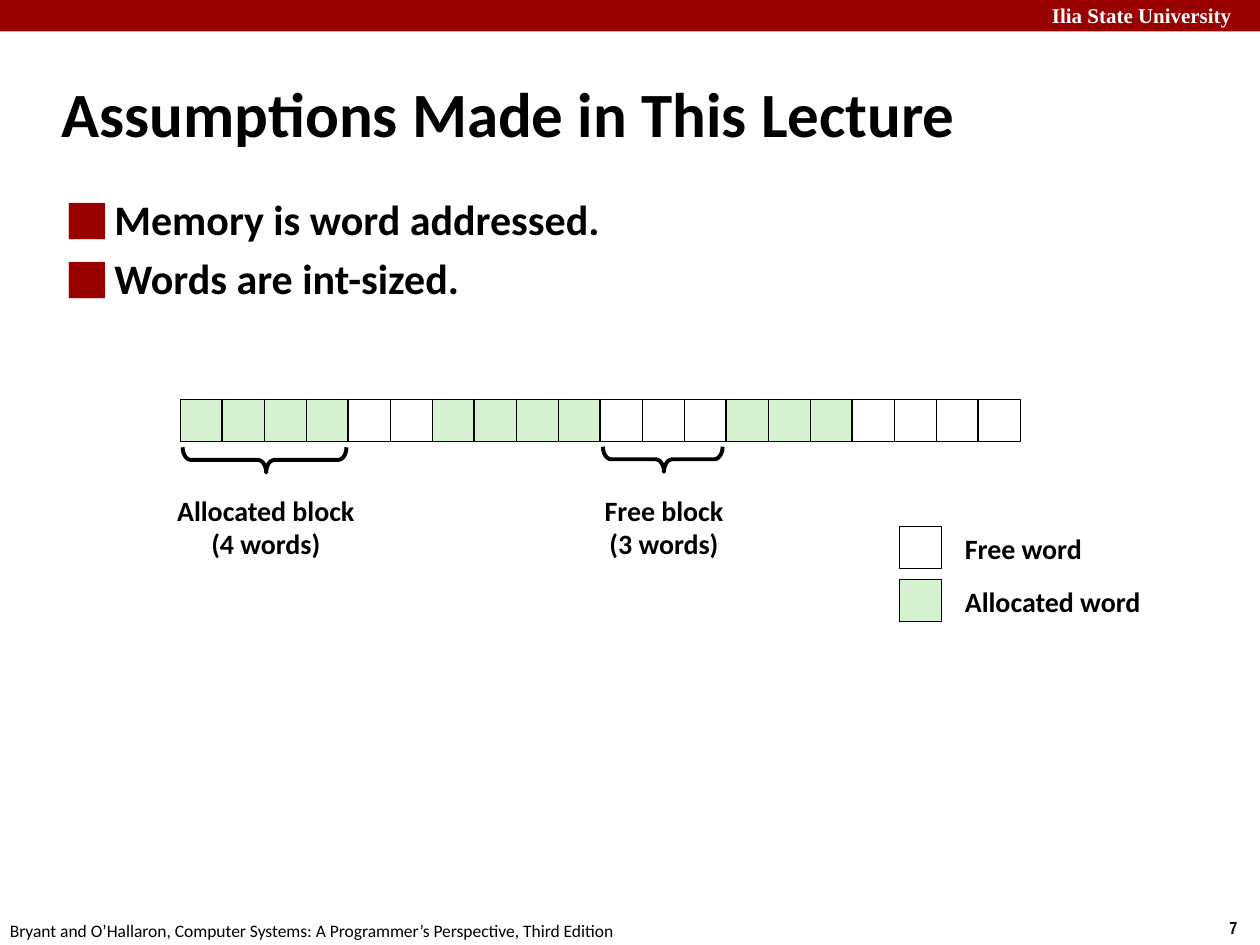
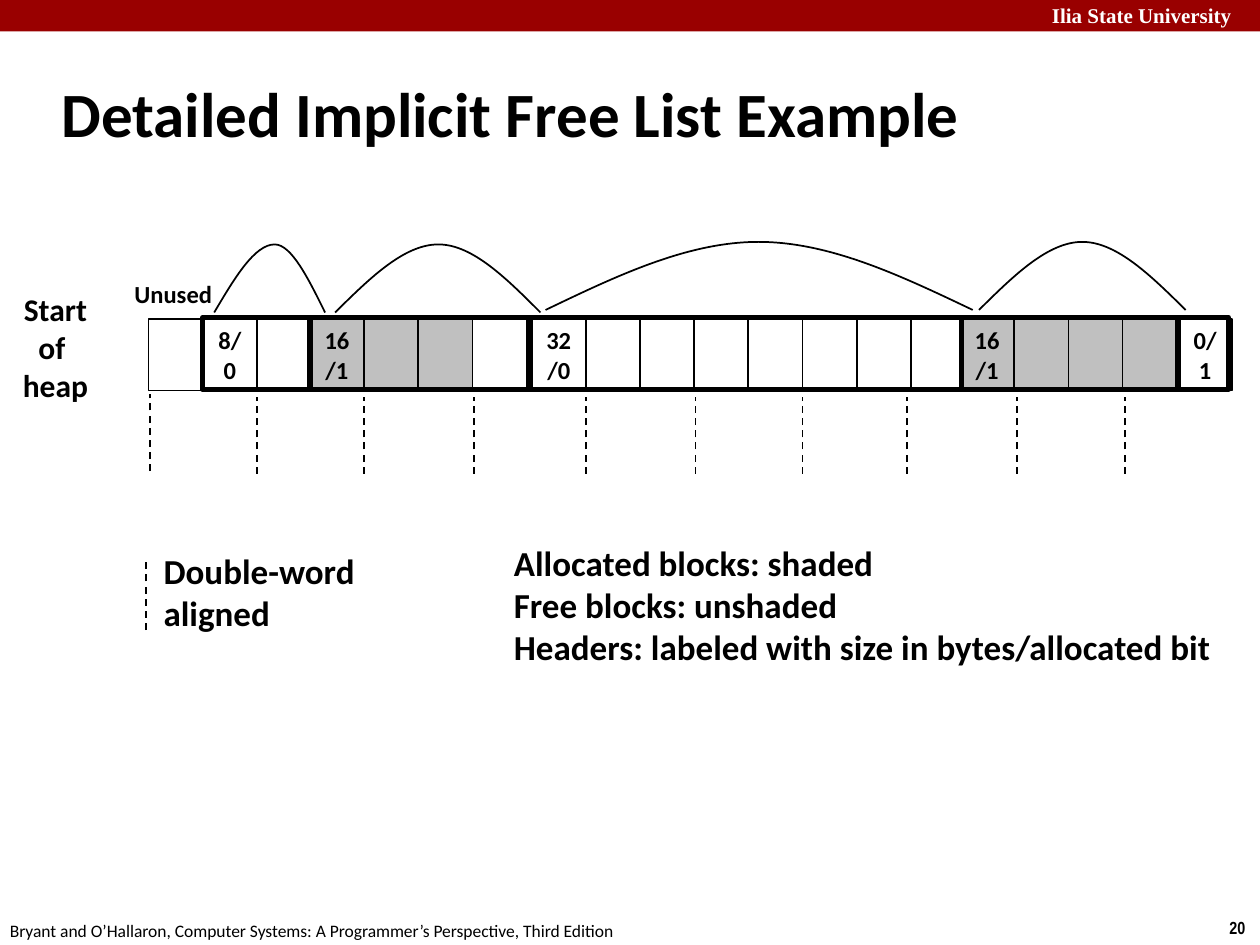
"""Build two lecture slides on memory blocks and the implicit free list."""
import lxml.etree
import pptx
import pptx.dml.color
import pptx.enum.dml
import pptx.enum.shapes
import pptx.enum.text
import pptx.oxml.ns
import pptx.util

Inches = pptx.util.Inches
Shapes = pptx.enum.shapes.MSO_SHAPE
Align = pptx.enum.text.PP_ALIGN
Anchor = pptx.enum.text.MSO_ANCHOR
qn = pptx.oxml.ns.qn

COLORS = {
    name: pptx.dml.color.RGBColor.from_string(value)
    for name, value in {
        "band": "990000",
        "black": "000000",
        "white": "FFFFFF",
        "allocated": "D5F1CF",
        "shaded": "C0C0C0",
    }.items()
}


def add_text(holder, lines, size, align=Align.LEFT, anchor=Anchor.TOP, color="black",
             name="Calibri", bold=True, line_spacing=None, space_before=0, bullet=None):
    """Fill a shape, or a new text box at (slide, left, top, width, height)."""
    if isinstance(holder, tuple):
        slide, *place = holder
        holder = slide.shapes.add_textbox(*map(Inches, place))
    frame = holder.text_frame
    frame.word_wrap = True
    frame.vertical_anchor = anchor
    for index, line in enumerate(lines):
        paragraph = frame.paragraphs[0] if index == 0 else frame.add_paragraph()
        paragraph.text = line
        paragraph.alignment = align
        paragraph.line_spacing = line_spacing
        if index and space_before:
            paragraph.space_before = pptx.util.Pt(space_before)
        if bullet:
            properties = paragraph._p.get_or_add_pPr()
            properties.set("marL", str(Inches(0.38)))
            properties.set("indent", str(Inches(-0.38)))
            bullet_color = lxml.etree.SubElement(properties, qn("a:buClr"))
            lxml.etree.SubElement(bullet_color, qn("a:srgbClr"), val=str(COLORS["band"]))
            lxml.etree.SubElement(properties, qn("a:buFont"), typeface=name)
            lxml.etree.SubElement(properties, qn("a:buChar"), char=bullet)
        font = paragraph.runs[0].font
        for attribute, value in {"size": pptx.util.Pt(size), "name": name, "bold": bold}.items():
            setattr(font, attribute, value)
        font.color.rgb = COLORS[color]


def add_box(slide, left, top, width, height, fill=None, line=None, kind=Shapes.RECTANGLE):
    """Add a preset shape with an optional fill and black outline."""
    shape = slide.shapes.add_shape(kind, *map(Inches, (left, top, width, height)))
    shape.shadow.inherit = False
    if fill:
        shape.fill.solid()
        shape.fill.fore_color.rgb = COLORS[fill]
    else:
        shape.fill.background()
    if line:
        shape.line.color.rgb = COLORS["black"]
        shape.line.width = pptx.util.Pt(line)
    else:
        shape.line.fill.background()
    return shape


presentation = pptx.Presentation()
presentation.slide_width = Inches(10)
presentation.slide_height = Inches(7.5)

slides = []
for title, number in [("Assumptions Made in This Lecture", "7"),
                      ("Detailed Implicit Free List Example", "20")]:
    slide = presentation.slides.add_slide(presentation.slide_layouts[6])
    add_box(slide, 0, 0, 10, 0.25, "band")
    add_text((slide, 8.25, -0.03, 1.82, 0.3), ["Ilia State University"], 12,
             color="white", name="Times New Roman")
    add_text((slide, 9.66, 7.23, 0.34, 0.27), [number], 10, name="Arial Narrow")
    add_text((slide, -0.02, 7.25, 5.08, 0.27),
             ["Bryant and O’Hallaron, Computer Systems: A Programmer’s Perspective, Third Edition"],
             10, bold=False)
    add_text((slide, 0.39, 0.48, 8.3, 0.83), [title], 36, anchor=Anchor.MIDDLE)
    slides.append(slide)
assumptions, free_list = slides

add_text((assumptions, 0.43, 1.49, 8.64, 5.44),
         ["Memory is word addressed.", "Words are int-sized."], 24, space_before=4.8, bullet="⬛")

word_left = 1.43
word_size = 1 / 3
for fill, count in [("allocated", 4), ("white", 2), ("allocated", 4),
                    ("white", 3), ("allocated", 3), ("white", 4)]:
    for word in range(count):
        add_box(assumptions, word_left, 3.17, word_size, word_size, fill, 0.75)
        word_left += word_size

for lines, left, width in [(["Allocated block", "(4 words)"], 1.3, 1.62),
                           (["Free block", "(3 words)"], 4.67, 1.2)]:
    add_text((assumptions, left, 3.88, width, 0.63), lines, 16, Align.CENTER, line_spacing=0.98)

for label, fill, top, width in [("Free word", "white", 4.18, 1.14),
                                ("Allocated word", "allocated", 4.6, 1.61)]:
    add_box(assumptions, 7.14, top, word_size, word_size, fill, 0.75)
    add_text((assumptions, 7.56, top, width, 0.37), [label], 16, line_spacing=0.98)

for left, top, height in [(2, 3, 1.3), (5.16, 3.17, 0.95)]:
    brace = add_box(assumptions, left, top, 0.2, height, line=2.25, kind=Shapes.LEFT_BRACE)
    brace.rotation = 270
    brace.adjustments[0] = 0.33
    brace.adjustments[1] = 0.51

cell_width = 0.43
cell_height = 0.57
add_box(free_list, 1.18, 2.53, cell_width, cell_height, "white", 1)
for left, right, first_cell, words, shaded, header in [
    (1.61, 2.46, 1.61, 2, 0, "8/0"),
    (2.46, 4.2, 2.46, 4, 3, "16/1"),
    (4.2, 7.63, 4.22, 8, 0, "32/0"),
    (7.63, 9.35, 7.62, 4, 4, "16/1"),
    (9.35, 9.75, 9.35, 1, 0, "0/1"),
]:
    for word in range(words):
        fill = "shaded" if word < shaded else "white"
        cell = add_box(free_list, first_cell + word * cell_width, 2.53,
                       cell_width, cell_height, fill, 1)
        if word == 0:
            add_text(cell, [header], 14, Align.CENTER, Anchor.MIDDLE)
    add_box(free_list, left, 2.52, right - left, cell_height, line=3)

arc_height = 0.54
for start, peak, end, top in [(1.7, 2.18, 2.58, 1.94), (2.66, 3.48, 4.29, 1.94),
                              (4.33, 6.02, 7.72, 1.92), (7.77, 8.59, 9.41, 1.92)]:
    foot = Inches(top + arc_height)
    builder = free_list.shapes.build_freeform(Inches(start), foot)
    builder.add_line_segments([(Inches(peak), Inches(top)), (Inches(end), foot)], close=False)
    arc = builder.convert_to_shape()
    rise, fall = peak - start, end - peak
    controls = [
        [(rise / 3, arc_height / 2), (rise * 2 / 3, 0)],
        [(rise + fall / 3, 0), (rise + fall * 2 / 3, arc_height / 2)],
    ]
    for segment, handles in zip(list(arc._element.iter(qn("a:lnTo"))), controls):
        curve = lxml.etree.Element(qn("a:cubicBezTo"))
        for across, down in handles:
            lxml.etree.SubElement(curve, qn("a:pt"), x=str(Inches(across)), y=str(Inches(down)))
        curve.append(segment[0])
        segment.getparent().replace(segment, curve)
    arc.shadow.inherit = False
    arc.fill.background()
    arc.line.color.rgb = COLORS["black"]
    arc.line.width = pptx.util.Pt(1)

alignment_lefts = [2.04, 2.89, 3.76, 4.65, 5.52, 6.37, 7.2, 8.07, 8.93]
alignment_marks = [(left, 3.15, 3.76) for left in alignment_lefts]
for left, top, bottom in alignment_marks + [(1.19, 3.13, 3.74), (1.16, 4.45, 5)]:
    mark = free_list.shapes.add_connector(
        pptx.enum.shapes.MSO_CONNECTOR.STRAIGHT, *map(Inches, (left, bottom, left, top)))
    mark.line.color.rgb = COLORS["black"]
    mark.line.width = pptx.util.Pt(1)
    mark.line.dash_style = pptx.enum.dml.MSO_LINE.DASH
    lxml.etree.SubElement(mark._element.spPr, qn("a:effectLst"))

for place, lines, size, align, anchor in [
    ((0.08, 2.25, 0.72, 1.01), ["Start ", "of ", "heap"], 18, Align.CENTER, Anchor.MIDDLE),
    ((0.92, 2.15, 0.91, 0.37), ["Unused"], 14, Align.CENTER, Anchor.MIDDLE),
    ((1.2, 4.31, 2.04, 0.77), ["Double-word", "aligned"], 20, Align.LEFT, Anchor.MIDDLE),
    ((3.98, 4.25, 5.79, 1.11),
     ["Allocated blocks: shaded", "Free blocks: unshaded",
      "Headers: labeled with size in bytes/allocated bit"], 20, Align.LEFT, Anchor.TOP),
]:
    add_text((free_list, *place), lines, size, align, anchor)

presentation.save("out.pptx")
